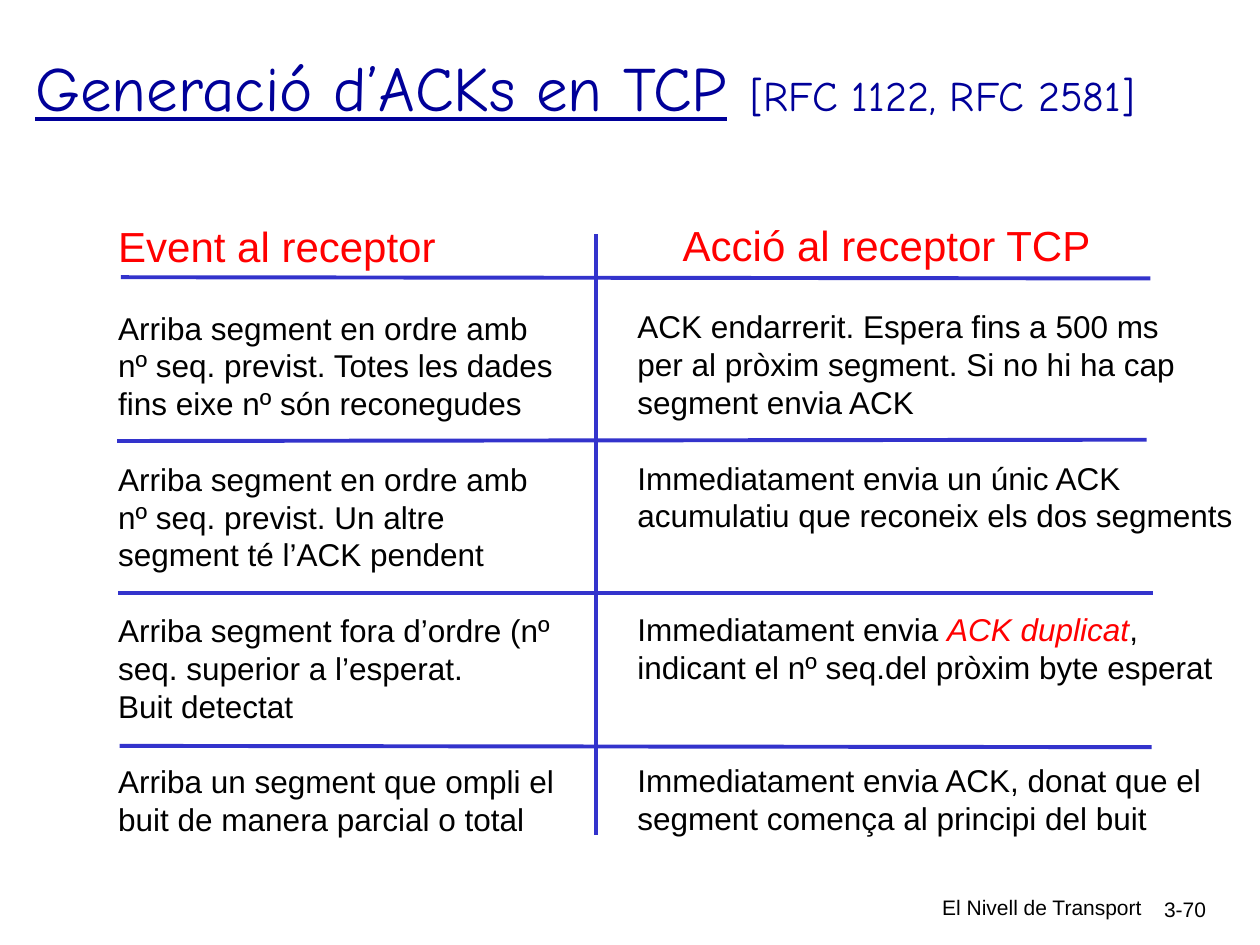
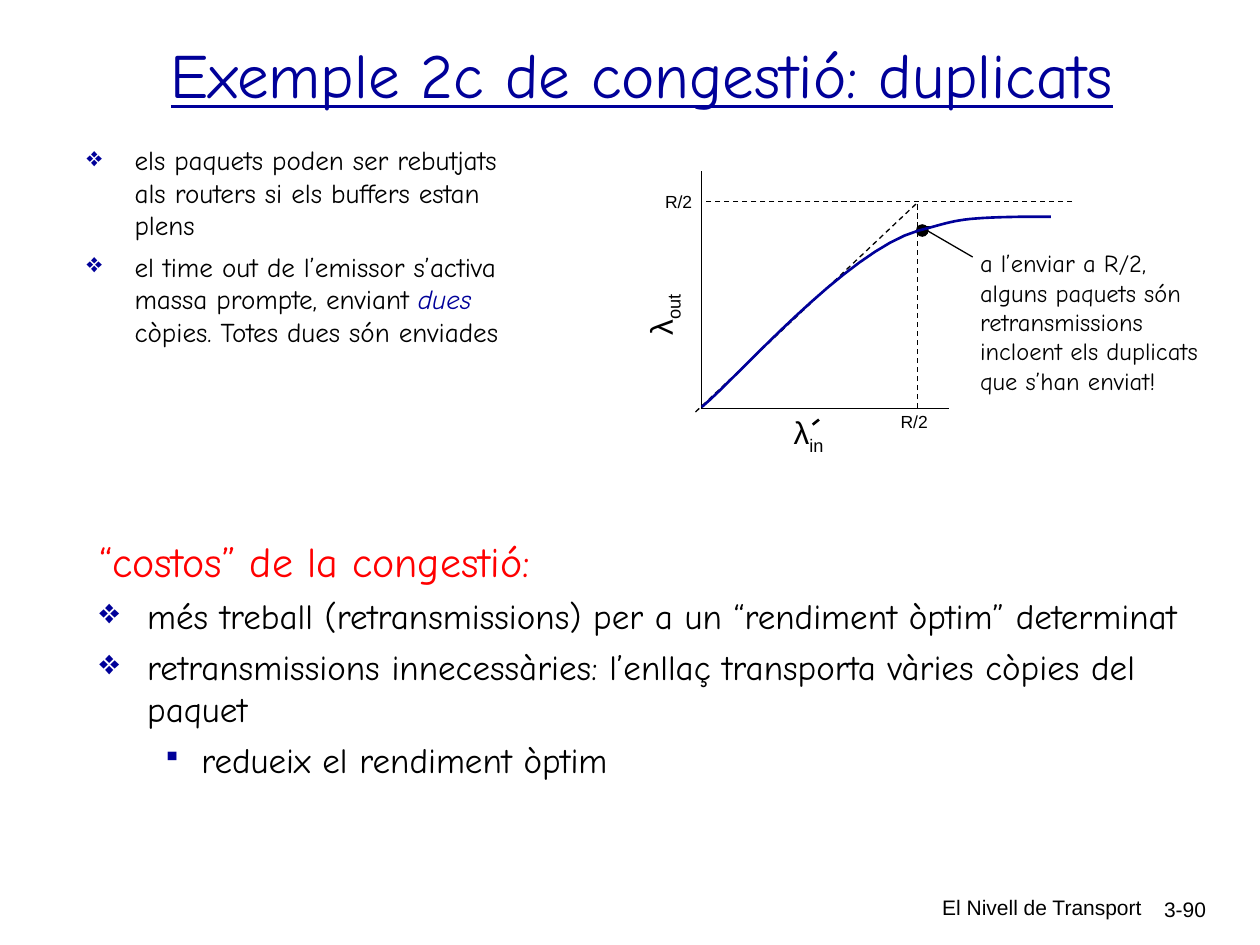
from dataclasses import dataclass
from typing import Optional

from lxml.etree import SubElement
from pptx import Presentation
from pptx.dml.color import RGBColor
from pptx.enum.dml import MSO_LINE
from pptx.enum.shapes import MSO_CONNECTOR, MSO_SHAPE
from pptx.enum.text import MSO_ANCHOR, MSO_AUTO_SIZE, PP_ALIGN
from pptx.oxml.ns import qn
from pptx.util import Emu, Pt

PX = 9144  # one px is a hundredth of an inch


@dataclass(frozen=True)
class Theme:
    navy: str = "000099"
    rule: str = "3333CC"
    red: str = "FF0000"
    black: str = "000000"
    sans: str = "Arial"
    comic: str = "Comic Neue"
    title: float = 36
    heading: float = 24
    large: float = 20
    body: float = 18
    small: float = 15.5
    note: float = 14
    footer: float = 12
    axis: float = 10
    leading: float = 1.2


THEME = Theme()


@dataclass(frozen=True)
class Box:
    left: int
    top: int
    width: int
    height: int

    def emu(self) -> tuple:
        return tuple(px(v) for v in (self.left, self.top, self.width, self.height))


@dataclass(frozen=True)
class Span:
    text: str
    size: Optional[float] = None
    color: Optional[str] = None
    italic: bool = False
    underline: bool = False
    subscript: bool = False


@dataclass(frozen=True)
class Bullet:
    char: str
    percent: int
    margin: int
    hanging: int
    level: int = 0


@dataclass(frozen=True)
class Para:
    spans: tuple
    size: float
    font: str = THEME.sans
    color: str = THEME.black
    before: float = 0
    indent: int = 0
    bullet: Optional[Bullet] = None
    align: PP_ALIGN = PP_ALIGN.LEFT
    leading: float = 0  # zero keeps the natural line height


@dataclass(frozen=True)
class Line:
    x1: int
    y1: int
    x2: int
    y2: int
    color: str = THEME.black
    weight: float = 0.75
    dashed: bool = False
    arrow: bool = False


DIAMOND = Bullet("❖", 100, 38, 38)
SQUARE = Bullet("▪", 75, 81, 31, level=1)


def px(value: float) -> Emu:
    return Emu(round(value * PX))


def rgb(color: str) -> RGBColor:
    return RGBColor.from_string(color)


# Text
def add_bullet(paragraph, bullet: Bullet) -> None:
    paragraph.level = bullet.level
    props = paragraph._p.get_or_add_pPr()
    props.set("marL", str(px(bullet.margin)))
    props.set("indent", str(-px(bullet.hanging)))
    color = SubElement(props, qn("a:buClr"))
    SubElement(color, qn("a:srgbClr"), val=THEME.navy)
    SubElement(props, qn("a:buSzPct"), val=str(bullet.percent * 1000))
    SubElement(props, qn("a:buChar"), char=bullet.char)


def fill_paragraph(paragraph, para: Para) -> None:
    if para.bullet:
        add_bullet(paragraph, para.bullet)
    elif para.indent:
        paragraph._p.get_or_add_pPr().set("marL", str(px(para.indent)))
    paragraph.alignment = para.align
    if para.before:
        paragraph.space_before = Pt(para.before)
    if para.leading:
        paragraph.line_spacing = Pt(round(para.size * para.leading, 1))
    for span in para.spans:
        run = paragraph.add_run()
        run.text = span.text
        font = run.font
        font.name = para.font
        font.size = Pt(span.size or para.size)
        font.color.rgb = rgb(span.color or para.color)
        font.italic = span.italic
        font.underline = span.underline
        if span.subscript:
            run._r.get_or_add_rPr().set("baseline", "-25000")


def add_text(slide, box: Box, paras: list, wrap: bool = True,
             rotation: int = 0) -> None:
    shape = slide.shapes.add_textbox(*box.emu())
    shape.rotation = rotation
    frame = shape.text_frame
    frame.word_wrap = wrap
    if not wrap:
        frame.auto_size = MSO_AUTO_SIZE.SHAPE_TO_FIT_TEXT
    for index, para in enumerate(paras):
        paragraph = frame.add_paragraph() if index else frame.paragraphs[0]
        fill_paragraph(paragraph, para)


# Lines and outlines
def add_line(slide, line: Line) -> None:
    ends = (px(v) for v in (line.x1, line.y1, line.x2, line.y2))
    connector = slide.shapes.add_connector(MSO_CONNECTOR.STRAIGHT, *ends)
    connector.line.color.rgb = rgb(line.color)
    connector.line.width = Pt(line.weight)
    if line.dashed:
        connector.line.dash_style = MSO_LINE.DASH
    if line.arrow:
        SubElement(connector.line._get_or_add_ln(), qn("a:tailEnd"), type="triangle")
    SubElement(connector._element.spPr, qn("a:effectLst"))


def bezier_points(start: tuple, curves: list, steps: int = 16) -> list:
    points = []
    for c1, c2, end in curves:
        for step in range(1, steps + 1):
            t = step / steps
            u = 1 - t
            points.append(tuple(
                px(u**3 * a + 3 * u * u * t * b + 3 * u * t * t * c + t**3 * d)
                for a, b, c, d in zip(start, c1, c2, end)))
        start = end
    return points


def add_curve(slide, start: tuple, curves: list, color: str, weight: float) -> None:
    builder = slide.shapes.build_freeform(px(start[0]), px(start[1]))
    builder.add_line_segments(bezier_points(start, curves), close=False)
    curve = builder.convert_to_shape()
    curve.shadow.inherit = False
    curve.fill.background()
    curve.line.color.rgb = rgb(color)
    curve.line.width = Pt(weight)


# Shared title and footer
def add_page(deck, box: Box, title: tuple, align: PP_ALIGN, number: str):
    slide = deck.slides.add_slide(deck.slide_layouts[5])
    shape = slide.shapes.title
    shape.left, shape.top, shape.width, shape.height = box.emu()
    frame = shape.text_frame
    frame.auto_size = MSO_AUTO_SIZE.NONE
    frame.vertical_anchor = MSO_ANCHOR.MIDDLE
    fill_paragraph(frame.paragraphs[0],
                   Para(title, THEME.title, THEME.comic, THEME.navy, align=align))
    for place, text in ((Box(599, 705, 317, 31), "El Nivell de Transport"),
                        (Box(893, 707, 74, 30), number)):
        add_text(slide, place, [Para((Span(text),), THEME.footer, align=PP_ALIGN.RIGHT)])
    return slide


# Slide: ACK generation
ROW_LINES = 4  # each row of the grid takes four text lines
EVENTS = [
    ["Arriba segment en ordre amb", "nº seq. previst. Totes les dades",
     "fins eixe nº són reconegudes"],
    ["Arriba segment en ordre amb", "nº seq. previst. Un altre",
     "segment té l’ACK pendent"],
    ["Arriba segment fora d’ordre (nº", "seq. superior a l’esperat.", "Buit detectat"],
    ["Arriba un segment que ompli el", "buit de manera parcial o total"],
]
ACTIONS = [
    ["ACK endarrerit. Espera fins a 500 ms", "per al pròxim segment. Si no hi ha cap",
     "segment envia ACK"],
    ["Immediatament envia un únic ACK", "acumulatiu que reconeix els dos segments"],
    [(Span("Immediatament envia "), Span("ACK duplicat", color=THEME.red, italic=True),
      Span(",")), "indicant el nº seq.del pròxim byte esperat"],
    ["Immediatament envia ACK, donat que el", "segment comença al principi del buit"],
]


def add_column(slide, box: Box, heading: str, indent: int, rows: list) -> None:
    paras = [Para((Span(heading),), THEME.heading, color=THEME.red, indent=indent,
                  leading=THEME.leading)]
    free_lines = 1
    for row in rows:
        for index, text in enumerate(row):
            spans = (Span(text),) if isinstance(text, str) else text
            gap = 0 if index else free_lines * THEME.body * THEME.leading
            paras.append(Para(spans, THEME.body, before=round(gap, 1),
                              leading=THEME.leading))
        free_lines = ROW_LINES - len(row)
    add_text(slide, box, paras)


def build_ack_slide(deck) -> None:
    title = (Span("Generació d’ACKs en TCP", underline=True), Span(" ", size=40),
             Span("[RFC 1122, RFC 2581]", size=THEME.heading))
    slide = add_page(deck, Box(18, 19, 964, 94), title, PP_ALIGN.LEFT, "3-70")
    add_column(slide, Box(84, 170, 373, 560), "Event al receptor", 0, EVENTS)
    add_column(slide, Box(496, 169, 499, 560), "Acció al receptor TCP", 36, ACTIONS)
    for ends in ((96, 220, 913, 221), (93, 350, 910, 349), (94, 471, 915, 471),
                 (95, 592, 914, 593), (473, 186, 473, 663)):
        add_line(slide, Line(*ends, color=THEME.rule, weight=2.25))


# Slide: congestion with duplicates
def comic(size: float, *spans: Span, **options) -> Para:
    return Para(spans, size, THEME.comic, leading=THEME.leading, **options)


def add_throughput_plot(slide) -> None:
    for line in (
        Line(557, 136, 557, 324),
        Line(753, 324, 556, 324),
        Line(851, 160, 556, 160, dashed=True),
        Line(552, 327, 729, 160, dashed=True),
        Line(728, 324, 728, 162, dashed=True),
        Line(772, 204, 729, 179, arrow=True),
        Line(645, 337, 650, 333, weight=1.5),
    ):
        add_line(slide, line)
    dot = slide.shapes.add_shape(MSO_SHAPE.OVAL, *Box(727, 178, 10, 10).emu())
    dot.shadow.inherit = False
    dot.fill.solid()
    dot.fill.fore_color.rgb = rgb(THEME.black)
    dot.line.fill.background()
    add_curve(slide, (557, 323), [
        ((585, 300), (672, 199), (729, 183)),
        ((760, 175), (758, 173), (811, 172)),
        ((834, 172), (829, 172), (834, 172)),
    ], THEME.navy, 1.5)
    # Axis labels stay on one line
    for left, top in ((518, 147), (705, 321)):
        add_text(slide, Box(left, top, 44, 27), [Para((Span("R/2"),), THEME.axis)],
                 wrap=False)
    for box, index, rotation in ((Box(492, 220, 68, 44), "out", 270),
                                 (Box(620, 323, 45, 44), "in", 0)):
        label = Para((Span("λ"), Span(index, subscript=True)), THEME.body)
        add_text(slide, box, [label], wrap=bool(rotation), rotation=rotation)


def build_congestion_slide(deck) -> None:
    title = (Span("Exemple 2c de congestió: duplicats", underline=True),)
    slide = add_page(deck, Box(19, 19, 981, 79), title, PP_ALIGN.CENTER, "3-90")
    add_text(slide, Box(59, 109, 376, 210), [
        comic(THEME.small, Span("els paquets poden ser rebutjats als routers si els "
                                "buffers estan plens"), bullet=DIAMOND),
        comic(THEME.small,
              Span("el time out de l’emissor s’activa massa prompte, enviant "),
              Span("dues ", color=THEME.navy, italic=True),
              Span("còpies. Totes dues són enviades"), bullet=DIAMOND, before=5),
    ])
    add_throughput_plot(slide)
    add_text(slide, Box(768, 192, 206, 127), [
        comic(THEME.note, Span("a l’enviar a R/2, alguns paquets són retransmissions "
                               "incloent els duplicats que s’han enviat!"))])
    costs = [
        ("més treball (retransmissions) per a un “rendiment òptim” determinat", DIAMOND),
        ("retransmissions innecessàries: l’enllaç transporta vàries còpies del paquet",
         DIAMOND),
        ("redueix el rendiment òptim", SQUARE),
    ]
    add_text(slide, Box(69, 420, 891, 108), [
        comic(THEME.heading, Span("“costos” de la congestió:"), color=THEME.red),
        *(comic(THEME.large, Span(text), bullet=bullet, before=5)
          for text, bullet in costs),
    ])


def main() -> None:
    deck = Presentation()
    deck.slide_width, deck.slide_height = px(1000), px(750)
    build_ack_slide(deck)
    build_congestion_slide(deck)
    deck.save("out.pptx")


if __name__ == "__main__":
    main()
